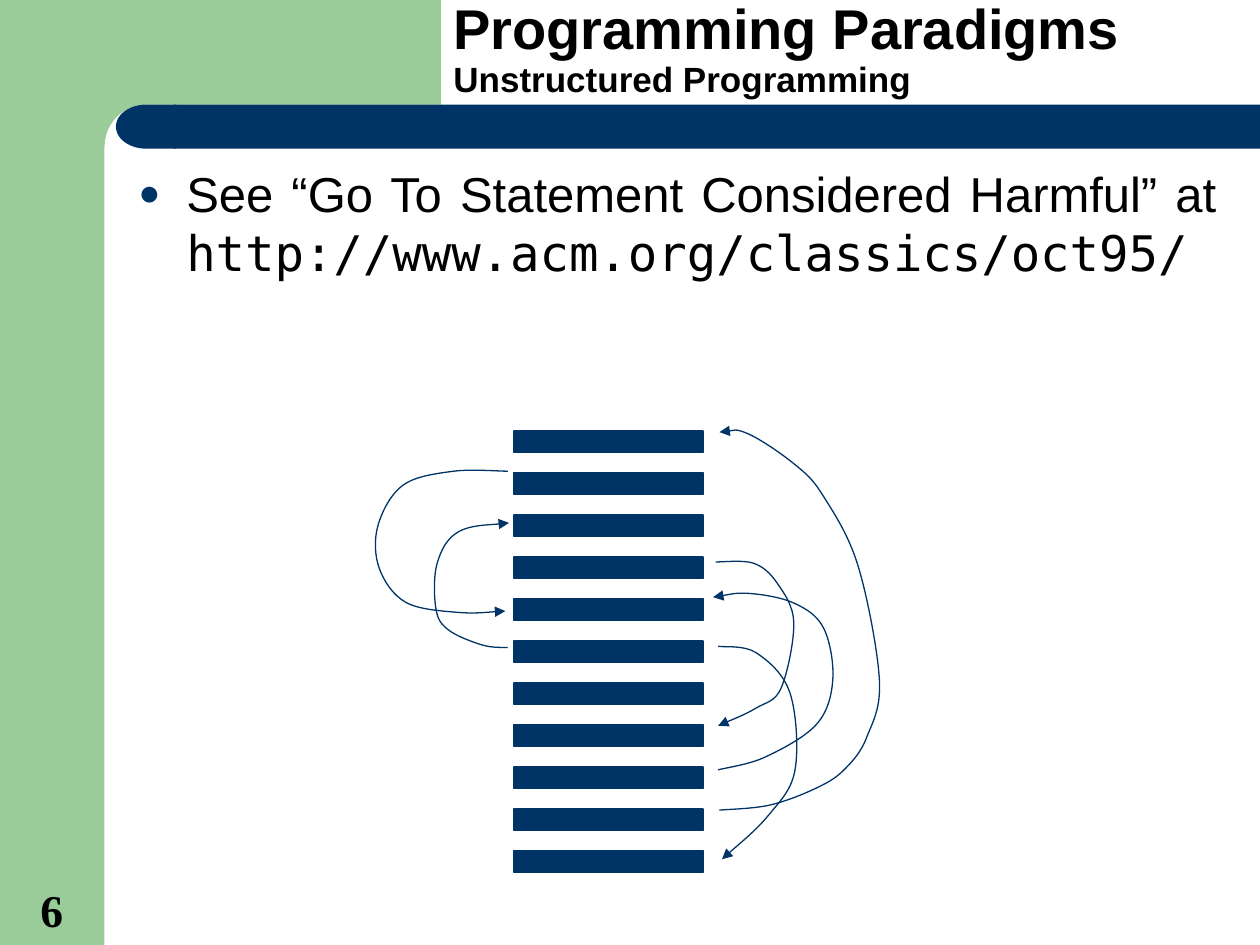
from lxml.etree import SubElement
from pptx import Presentation
from pptx.dml.color import RGBColor
from pptx.enum.shapes import MSO_SHAPE as Kind
from pptx.enum.text import MSO_ANCHOR as Anchor, PP_ALIGN as Align
from pptx.oxml.ns import qn
from pptx.util import Inches, Pt

GREEN = RGBColor(0x99, 0xCC, 0x99)
NAVY = RGBColor(0x00, 0x33, 0x66)
WHITE = RGBColor(0xFF, 0xFF, 0xFF)
BLACK = RGBColor(0x00, 0x00, 0x00)

# Content: runs are (text, font, size); a None run is a line break
TITLE = [("Programming Paradigms", "Arial", 32), None,
         ("Unstructured Programming", "Arial", 20)]
BODY = [("See “Go To Statement Considered Harmful” at ", "Arial", 28),
        ("http://www.acm.org/classics/oct95/", "DejaVu Sans Mono", 28)]
PAGE = [("6", "Times New Roman", 26)]

# Frame: preset, box, colour, corner adjustment
FRAME = [
    (Kind.RECTANGLE, (0, 0, 0.83, 7.5), GREEN, None),
    (Kind.RECTANGLE, (0.75, 0, 2.75, 1.17), GREEN, None),
    (Kind.ROUNDED_RECTANGLE, (0.83, 0.83, 5.58, 0.67), WHITE, 0.5),
    (Kind.ROUNDED_RECTANGLE, (1.38, 0.83, 8.62, 0.35), NAVY, 0),
    (Kind.FLOWCHART_DELAY, (0.92, 0.83, 0.48, 0.35), NAVY, None),
]

# Code lines: count, left, first top, step, width, height
BARS, LEFT, TOP, STEP, WIDE, HIGH = 11, 4.08, 3.42, 1 / 3, 1.5, 0.17

# Jumps: the points each smooth arrow runs through
JUMPS = [
    [(4.03, 3.74), (3.6, 3.74), (3.2, 3.85), (3, 4.17), (3.01, 4.51),
     (3.22, 4.78), (3.63, 4.86), (4.01, 4.85)],
    [(4.03, 5.14), (3.83, 5.12), (3.56, 5), (3.46, 4.83), (3.47, 4.47),
     (3.64, 4.22), (4.04, 4.15)],
    [(5.68, 4.46), (5.98, 4.47), (6.17, 4.63), (6.3, 4.94), (6.2, 5.46),
     (6, 5.62), (5.7, 5.76)],
    [(5.7, 6.11), (6.07, 6.01), (6.48, 5.75), (6.61, 5.4), (6.54, 4.99),
     (6.31, 4.79), (5.95, 4.71), (5.66, 4.74)],
    [(5.7, 5.13), (6, 5.18), (6.27, 5.5), (6.31, 6.11), (6.1, 6.47),
     (5.73, 6.82)],
    [(5.71, 6.43), (6.11, 6.39), (6.49, 6.25), (6.71, 6.1), (6.88, 5.85),
     (6.98, 5.4), (6.81, 4.49), (6.53, 3.93), (6.3, 3.68), (5.93, 3.44),
     (5.71, 3.43)],
]


def add_text(slide, runs, box, bold=False, anchor=Anchor.TOP,
             align=Align.LEFT, spacing=None, bullet=False):
    frame = slide.shapes.add_textbox(*map(Inches, box)).text_frame
    frame.word_wrap = True
    frame.vertical_anchor = anchor
    para = frame.paragraphs[0]
    para.alignment = align
    if spacing:
        para.line_spacing = spacing
    if bullet:
        props = para._p.get_or_add_pPr()
        props.set("marL", str(Inches(0.38)))
        props.set("indent", str(Inches(-0.38)))
        colour = SubElement(props, qn("a:buClr"))
        SubElement(colour, qn("a:srgbClr"), val=str(NAVY))
        SubElement(props, qn("a:buSzPct"), val="75000")
        SubElement(props, qn("a:buFont"), typeface="Arial")
        SubElement(props, qn("a:buChar"), char="●")
    for item in runs:
        if item is None:
            para.add_line_break()
            continue
        run = para.add_run()
        run.text, run.font.name, size = item
        run.font.size = Pt(size)
        run.font.bold = bold
        run.font.color.rgb = BLACK


def add_block(slide, kind, box, colour, line=False):
    shape = slide.shapes.add_shape(kind, *map(Inches, box))
    shape.shadow.inherit = False
    shape.fill.solid()
    shape.fill.fore_color.rgb = colour
    if line:
        shape.line.color.rgb = colour
        shape.line.width = Pt(0.75)
    else:
        shape.line.fill.background()
    return shape


def smooth(points):
    """Give the Bezier points of a spline through the given points."""
    ends = [points[0], *points, points[-1]]
    result = []
    for a, b, c, d in zip(ends, ends[1:], ends[2:], ends[3:]):
        result += [tuple(q + (r - p) / 6 for p, q, r in zip(a, b, c)),
                   tuple(r - (s - q) / 6 for q, r, s in zip(b, c, d)), c]
    return result


def add_jump(slide, points):
    pen = slide.shapes.build_freeform(*map(Inches, points[0]))
    pen.add_line_segments([(Inches(x), Inches(y)) for x, y in smooth(points)],
                          close=False)
    shape = pen.convert_to_shape()
    shape.shadow.inherit = False
    shape.fill.background()
    shape.line.color.rgb = NAVY
    shape.line.width = Pt(0.75)
    SubElement(shape.line._get_or_add_ln(), qn("a:tailEnd"), type="triangle")
    # Merge every three line steps into one cubic curve
    track = next(shape._element.iter(qn("a:path")))
    steps = track.findall(qn("a:lnTo"))
    for i in range(0, len(steps), 3):
        curve = SubElement(track, qn("a:cubicBezTo"))
        for step in steps[i:i + 3]:
            curve.append(step[0])
            track.remove(step)


def main():
    deck = Presentation()
    deck.slide_width, deck.slide_height = Inches(10), Inches(7.5)
    slide = deck.slides.add_slide(deck.slide_layouts[6])

    # Frame and text
    for kind, box, colour, corner in FRAME:
        shape = add_block(slide, kind, box, colour)
        if corner is not None:
            shape.adjustments[0] = corner
        if kind == Kind.FLOWCHART_DELAY:
            shape._element.spPr.xfrm.set("flipH", "1")
    add_text(slide, TITLE, (3.5, 0.17, 6.33, 0.67), bold=True,
             anchor=Anchor.BOTTOM, spacing=0.9)
    add_text(slide, BODY, (1, 1.25, 8.75, 5.75), align=Align.JUSTIFY,
             bullet=True)

    # Code lines and the jumps between them
    for i in range(BARS):
        add_block(slide, Kind.RECTANGLE, (LEFT, TOP + i * STEP, WIDE, HIGH),
                  NAVY, line=True)
    for points in JUMPS:
        add_jump(slide, points)

    # Page number
    add_text(slide, PAGE, (0.09, 6.94, 0.64, 0.54), bold=True,
             anchor=Anchor.BOTTOM, align=Align.CENTER)
    deck.save("out.pptx")


if __name__ == "__main__":
    main()
